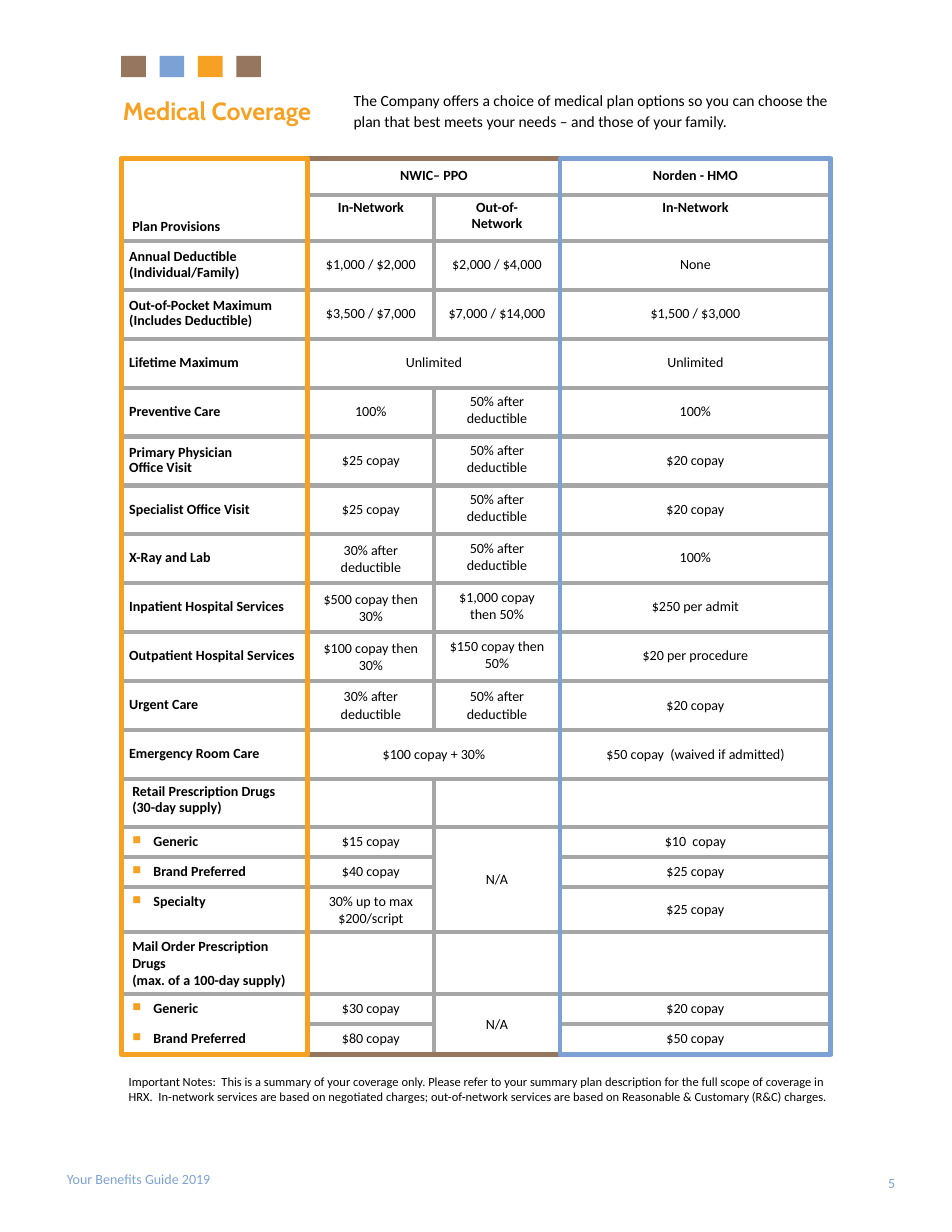
from pptx import Presentation
from pptx.dml.color import RGBColor
from pptx.enum.shapes import MSO_SHAPE
from pptx.enum.text import MSO_ANCHOR, PP_ALIGN
from pptx.oxml.ns import qn
from pptx.util import Cm, Pt
from lxml.etree import SubElement

ORANGE, BLUE, BROWN, GREY = "F6A122", "7CA2D5", "96765D", "A6A6A6"
TOP, MIDDLE, BOTTOM = MSO_ANCHOR.TOP, MSO_ANCHOR.MIDDLE, MSO_ANCHOR.BOTTOM
LEFT, CENTER, RIGHT = PP_ALIGN.LEFT, PP_ALIGN.CENTER, PP_ALIGN.RIGHT

NORMAL, TIGHT = (0.25, 0.13), (0.18, 0.05)
SPACED = dict(leading=10, after=2)
KINDS = {
    "P": (NORMAL, BOTTOM, dict(bold=True, leading=10)),
    "H": (NORMAL, MIDDLE, dict(bold=True, align=CENTER, leading=10)),
    "S": (NORMAL, TOP, dict(bold=True, align=CENTER, leading=10)),
    "L": (TIGHT, MIDDLE, dict(bold=True, **SPACED)),
    "E": (TIGHT, MIDDLE, dict(align=CENTER, **SPACED)),
    "T": (TIGHT, MIDDLE, dict(align=CENTER)),
    "N": (NORMAL, MIDDLE, dict(align=CENTER)),
    "U": (NORMAL, TOP, dict(align=CENTER)),
    "R": (NORMAL, TOP, dict(bold=True, **SPACED)),
    "M": (NORMAL, TOP, dict(bold=True)),
    "B": (NORMAL, TOP, dict(bold=True, bullet=ORANGE)),
}

AFTER_50, AFTER_30 = "50% after deductible", "30% after deductible"
PLAN_ROWS = [
    (0.82, "PHHH", ["Plan Provisions", "NWIC– PPO", "", "Norden - HMO"]),
    (1.04, "PSSS", ["", "In-Network", "Out-of-\nNetwork", "In-Network"]),
    (1.11, "LEEN", ["Annual Deductible (Individual/Family)", "$1,000 / $2,000", "$2,000 / $4,000", "None"]),
    (1.11, "LEEN", ["Out-of-Pocket Maximum\n(Includes Deductible)", "$3,500 / $7,000", "$7,000 / $14,000",
                    "$1,500 / $3,000"]),
    (1.11, "LNNN", ["Lifetime Maximum", "Unlimited", "", "Unlimited"]),
    (1.11, "LTUE", ["Preventive Care", "100%", AFTER_50, "100%"]),
    (1.11, "LTUE", ["Primary Physician\nOffice Visit", "$25 copay", AFTER_50, "$20 copay"]),
    (1.11, "LTUE", ["Specialist Office Visit", "$25 copay", AFTER_50, "$20 copay"]),
    (1.11, "LTUE", ["X-Ray and Lab", AFTER_30, AFTER_50, "100%"]),
    (1.11, "LTUE", ["Inpatient Hospital Services", "$500 copay then 30%", "$1,000 copay then 50%", "$250 per admit"]),
    (1.11, "LTUE", ["Outpatient Hospital Services", "$100 copay then 30%", "$150 copay then 50%",
                    "$20 per procedure"]),
    (1.11, "LTTN", ["Urgent Care", AFTER_30, AFTER_50, "$20 copay"]),
    (1.11, "LTTN", ["Emergency Room Care", "$100 copay + 30%", "", "$50 copay  (waived if admitted)"]),
    (1.09, "RUUU", ["Retail Prescription Drugs (30-day supply)", "", "", ""]),
    (0.68, "BUNU", ["Generic", "$15 copay", "N/A", "$10  copay"]),
    (0.68, "BUNU", ["Brand Preferred", "$40 copay", "", "$25 copay"]),
    (0.68, "BUNN", ["Specialty", "30% up to max $200/script", "", "$25 copay"]),
    (1.09, "MUUU", [["Mail Order Prescription Drugs", "(max. of a 100-day supply)"], "", "", ""]),
    (0.68, "BUNU", ["Generic", "$30 copay", "N/A", "$20 copay"]),
    (0.68, "BUNU", ["Brand Preferred", "$80 copay", "", "$50 copay"]),
]
COLUMNS = [4.23, 2.86, 2.86, 6.14]
MERGES = [(0, 0, 1, 0), (0, 1, 0, 2), (4, 1, 4, 2), (12, 1, 12, 2), (14, 2, 16, 2), (18, 2, 19, 2)]
OPEN_SIDES = {(17, 0): "LTR", (18, 0): "LR", (19, 0): "LR"}


def color(value):
    return RGBColor.from_string(value)


def add_bullet(p, value):
    pPr = p._p.get_or_add_pPr()
    pPr.set("marL", str(Cm(0.48)))
    pPr.set("indent", str(-Cm(0.48)))
    SubElement(SubElement(pPr, qn("a:buClr")), qn("a:srgbClr"), val=value)
    SubElement(pPr, qn("a:buSzPct"), val="85000")
    SubElement(pPr, qn("a:buChar"), char="■")


def write(tf, text, size=9, fill="000000", font="Calibri", bold=False,
          align=LEFT, leading=None, after=0, bullet=None):
    paragraphs = text if isinstance(text, list) else [text]
    for i, content in enumerate(paragraphs):
        p = tf.add_paragraph() if i else tf.paragraphs[0]
        if bullet:
            add_bullet(p, bullet)
        p.alignment = align
        p.space_after = Pt(after)
        if leading:
            p.line_spacing = Pt(leading)
        for j, line in enumerate(content.split("\n")):
            if j:
                p.add_line_break()
            r = p.add_run()
            r.text = line
            r.font.name, r.font.size, r.font.bold = font, Pt(size), bold
            r.font.color.rgb = color(fill)


class Page:
    def __init__(self, s, border=GREY, weight=3):
        self.s, self.border, self.weight = s, border, weight

    def text(self, box, text, anchor=TOP, **fmt):
        tf = self.s.shapes.add_textbox(*map(Cm, box)).text_frame
        tf.word_wrap = True
        tf.vertical_anchor = anchor
        write(tf, text, **fmt)

    def rect(self, box, fill=None, line=None):
        sp = self.s.shapes.add_shape(MSO_SHAPE.RECTANGLE, *map(Cm, box))
        sp.shadow.inherit = False
        if fill:
            sp.fill.solid()
            sp.fill.fore_color.rgb = color(fill)
        else:
            sp.fill.background()
        if line:
            sp.line.color.rgb = color(line)
            sp.line.width = Pt(self.weight)
        else:
            sp.line.fill.background()

    def cell(self, cell, kind, text, sides):
        (side, edge), anchor, fmt = KINDS[kind]
        cell.margin_left = cell.margin_right = Cm(side)
        cell.margin_top = cell.margin_bottom = Cm(edge)
        cell.vertical_anchor = anchor
        tcPr = cell._tc.get_or_add_tcPr()
        for name in sides:
            ln = SubElement(tcPr, qn("a:ln" + name), w=str(Pt(self.weight)))
            SubElement(SubElement(ln, qn("a:solidFill")), qn("a:srgbClr"), val=self.border)
        cell.fill.solid()
        cell.fill.fore_color.rgb = color("FFFFFF")
        if text:
            write(cell.text_frame, text, **fmt)

    def table(self, left, top, columns, rows, merges, open_sides):
        height = sum(row[0] for row in rows)
        frame = self.s.shapes.add_table(len(rows), len(columns), Cm(left), Cm(top), Cm(sum(columns)), Cm(height))
        table = frame.table
        table.first_row = table.horz_banding = False
        for column, width in zip(table.columns, columns):
            column.width = Cm(width)
        for r, (height, kinds, texts) in enumerate(rows):
            table.rows[r].height = Cm(height)
            for c, (kind, text) in enumerate(zip(kinds, texts)):
                self.cell(table.cell(r, c), kind, text, open_sides.get((r, c), "LRTB".replace("RT", "RT")))
        for r1, c1, r2, c2 in merges:
            table.cell(r1, c1).merge(table.cell(r2, c2))


def main():
    prs = Presentation()
    prs.slide_width, prs.slide_height = Cm(21.59), Cm(27.94)
    page = Page(prs.slides.add_slide(prs.slide_layouts[6]))

    page.text((19.48, 26.47, 1.07, 0.71), "5", MIDDLE, fill=BLUE, align=RIGHT)
    page.text((1.27, 26.42, 7.82, 0.64), "Your Benefits Guide 2019", MIDDLE, fill=BLUE)
    page.text((2.54, 1.27, 16.71, 1.7), "Medical Coverage", BOTTOM, size=16, font="Cabin", fill=ORANGE, bold=True)
    page.text((7.77, 1.91, 11.28, 2.54),
              "The Company offers a choice of medical plan options so you can choose the plan that best "
              "meets your needs – and those of your family.", size=10, leading=13, after=8)

    left, top = 2.75, 3.6
    page.table(left, top, COLUMNS, PLAN_ROWS, MERGES, OPEN_SIDES)
    page.text((2.67, 24.23, 16.38, 0.94),
              "Important Notes:  This is a summary of your coverage only. Please refer to your summary plan "
              "description for the full scope of coverage in HRX.  In-network services are based on negotiated "
              "charges; out-of-network services are based on Reasonable & Customary (R&C) charges.", size=8)

    for i, fill in enumerate([BROWN, BLUE, ORANGE, BROWN]):
        page.rect((left + i * 0.87, 1.27, 0.56, 0.48), fill=fill)

    label, inside, outside, hmo = COLUMNS
    ppo = inside + outside
    for x, width, line in [(left + label, ppo, BROWN), (left + label + ppo, hmo, BLUE), (left, label, ORANGE)]:
        page.rect((x, top, width, 20.32), line=line)

    prs.save("out.pptx")


if __name__ == "__main__":
    main()
